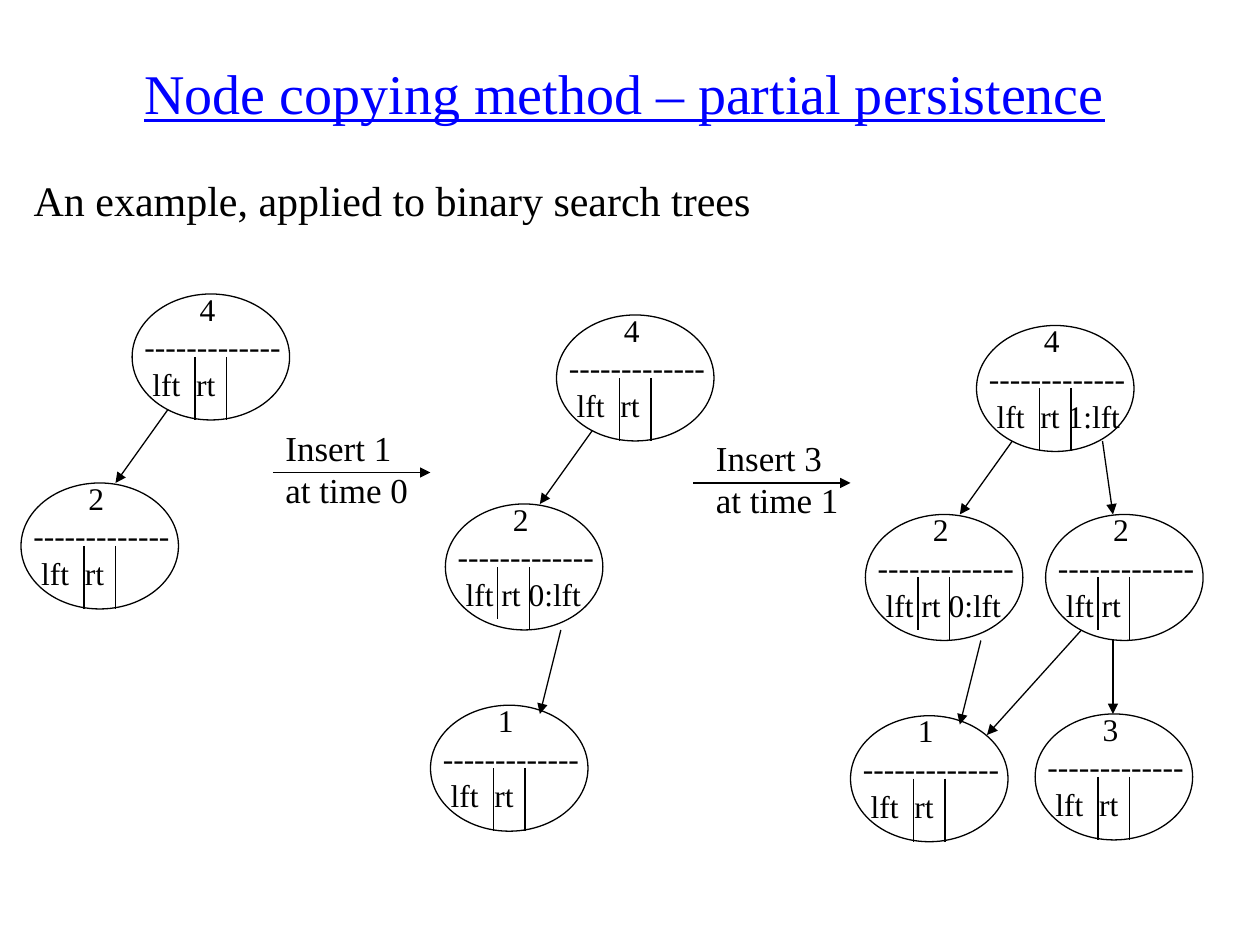
"""Build a slide on node copying in partially persistent search trees."""
from dataclasses import dataclass

from lxml.etree import SubElement
from pptx import Presentation
from pptx.dml.color import RGBColor
from pptx.enum.shapes import MSO_CONNECTOR, MSO_SHAPE
from pptx.enum.text import MSO_ANCHOR, MSO_AUTO_SIZE, PP_ALIGN
from pptx.oxml.ns import qn
from pptx.util import Pt

COLORS = {"title": "0000FF", "ink": "000000", "paper": "FFFFFF"}
FONT = "Times New Roman"
NODE_W, NODE_H = 90, 72


@dataclass
class Node:
    key: str
    x: float
    y: float
    extra: str = ""
    compact: bool = False


@dataclass
class Arrow:
    x1: float
    y1: float
    x2: float
    y2: float


@dataclass
class Tree:
    nodes: list[Node]
    arrows: list[Arrow]


@dataclass
class Step:
    lines: list[str]
    x: float
    y: float
    arrow: Arrow


TREES = [
    Tree([Node("2", 12, 276), Node("4", 75.5, 168)],
         [Arrow(96, 234, 66, 276)]),
    Tree([Node("2", 254.5, 288, " 0:lft", True), Node("4", 318, 180),
          Node("1", 246, 403)],
         [Arrow(338.5, 246, 308.5, 288), Arrow(320.5, 360, 308.5, 408)]),
    Tree([Node("2", 494.5, 294, " 0:lft", True), Node("4", 558, 186, " 1:lft"),
          Node("1", 486, 409), Node("2", 597.5, 294, compact=True),
          Node("3", 591.5, 408)],
         [Arrow(578.5, 252, 548.5, 294), Arrow(560.5, 366, 548.5, 414),
          Arrow(618, 360, 564, 420), Arrow(636, 366, 636, 408),
          Arrow(630, 252, 636, 294)]),
]
STEPS = [
    Step(["Insert 1", "at time 0"], 156, 240, Arrow(156, 270, 246, 270)),
    Step(["Insert 3", "at time 1"], 402, 246, Arrow(396, 276, 486, 276)),
]


def rgb(name: str) -> RGBColor:
    return RGBColor.from_string(COLORS[name])


def format_runs(tf, size: float, color: str = "ink") -> None:
    for p in tf.paragraphs:
        for r in p.runs:
            r.font.name = FONT
            r.font.size = Pt(size)
            r.font.color.rgb = rgb(color)


def place(sp, x: float, y: float, w: float, h: float) -> None:
    sp.left, sp.top, sp.width, sp.height = Pt(x), Pt(y), Pt(w), Pt(h)


def fill_placeholder(sp, text: str, size: float, color: str, align):
    tf = sp.text_frame
    tf.text = text
    tf.auto_size = MSO_AUTO_SIZE.NONE
    tf.vertical_anchor = MSO_ANCHOR.TOP
    p = tf.paragraphs[0]
    p.alignment = align
    p.space_before = Pt(0)
    format_runs(tf, size, color)
    return p


def add_lines(shapes, lines: list[str], x: float, y: float, w: float,
              h: float, size: float):
    tf = shapes.add_textbox(Pt(x), Pt(y), Pt(w), Pt(h)).text_frame
    tf.word_wrap = True
    tf.margin_right = 0
    tf.text = "\n".join(lines)
    format_runs(tf, size)
    return tf


def add_line(shapes, a: Arrow, head: bool = False) -> None:
    cx = shapes.add_connector(MSO_CONNECTOR.STRAIGHT, Pt(a.x1), Pt(a.y1),
                              Pt(a.x2), Pt(a.y2))
    cx.line.color.rgb = rgb("ink")
    cx.line.width = Pt(0.75)
    spPr = cx._element.spPr
    if head:
        SubElement(spPr.find(qn("a:ln")), qn("a:tailEnd"), type="triangle")
    SubElement(spPr, qn("a:effectLst"))


def add_node(shapes, n: Node) -> None:
    sp = shapes.add_shape(MSO_SHAPE.OVAL, Pt(n.x), Pt(n.y), Pt(NODE_W), Pt(NODE_H))
    sp.shadow.inherit = False
    sp.fill.solid()
    sp.fill.fore_color.rgb = rgb("paper")
    sp.line.color.rgb = rgb("ink")
    sp.line.width = Pt(0.75)
    lines = [n.key, "-" * 13, f"\tlft\trt{n.extra}"]
    tf = add_lines(shapes, lines, n.x, n.y - 6, 92, 93.5, 18)
    tf.paragraphs[0]._p.get_or_add_pPr().set("marL", str(Pt(31.5)))
    tabs = SubElement(tf.paragraphs[2]._p.get_or_add_pPr(), qn("a:tabLst"))
    for pos in (4.5, 25 if n.compact else 29.5):
        SubElement(tabs, qn("a:tab"), pos=str(Pt(pos)), algn="l")
    left, drop = (30, 66) if n.compact else (36, NODE_H)
    for dx, dy in ((left, drop), (left + 18, NODE_H)):
        add_line(shapes, Arrow(n.x + dx, n.y + 36, n.x + dx, n.y + dy))


def add_tree(shapes, tree: Tree) -> None:
    group = shapes.add_group_shape().shapes
    for n in tree.nodes:
        add_node(group, n)
    for a in tree.arrows:
        add_line(group, a, head=True)


def main() -> None:
    prs = Presentation()
    prs.slide_width, prs.slide_height = Pt(720), Pt(540)
    s = prs.slides.add_slide(prs.slide_layouts[1])
    title, body = s.shapes.title, s.placeholders[1]
    place(title, 30, 30, 654, 104.5)
    p = fill_placeholder(title, "Node copying method – partial persistence",
                         32, "title", PP_ALIGN.CENTER)
    p.runs[0].font.underline = True
    place(body, 12, 96, 642, 36)
    p = fill_placeholder(body, "An example, applied to binary search trees",
                         24, "ink", PP_ALIGN.LEFT)
    pPr = p._p.get_or_add_pPr()
    pPr.set("marL", "0")
    pPr.set("indent", "0")
    SubElement(pPr, qn("a:buNone"))
    for tree in TREES:
        add_tree(s.shapes, tree)
    for step in STEPS:
        add_line(s.shapes, step.arrow, head=True)
        add_lines(s.shapes, step.lines, step.x, step.y, 84, 55.5, 20)
    prs.save("out.pptx")


if __name__ == "__main__":
    main()
